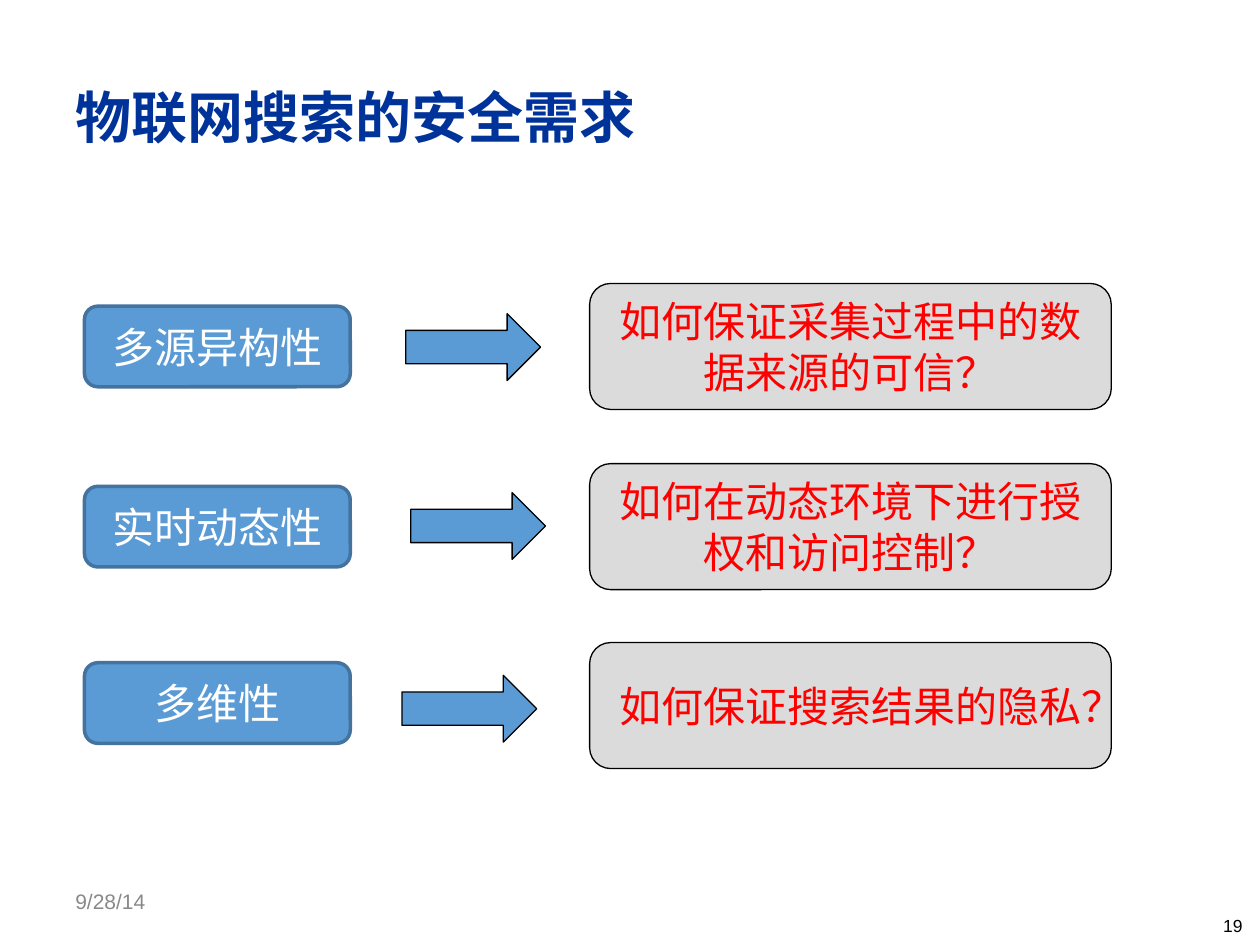
from lxml import etree
from pptx import Presentation
from pptx.dml.color import RGBColor
from pptx.enum.lang import MSO_LANGUAGE_ID
from pptx.enum.shapes import MSO_SHAPE
from pptx.enum.text import MSO_ANCHOR, PP_ALIGN
from pptx.oxml.ns import qn
from pptx.util import Inches, Pt

ROUNDED = MSO_SHAPE.ROUNDED_RECTANGLE
ARROW = MSO_SHAPE.RIGHT_ARROW
MIDDLE, TOP = MSO_ANCHOR.MIDDLE, MSO_ANCHOR.TOP
LEFT, CENTER = PP_ALIGN.LEFT, PP_ALIGN.CENTER
CHINESE = MSO_LANGUAGE_ID.SIMPLIFIED_CHINESE

COLORS = {
    "title": "003399",
    "date": "898989",
    "black": "000000",
    "white": "FFFFFF",
    "blue": "5B9BD5",
    "edge": "43739E",
    "gray": "DBDBDB",
    "red": "FF0000",
}
SANS, HAN = "Arial", "Noto Sans CJK SC"
COLUMNS, ROWS = 100, 75

REQUIREMENTS = [
    ("多源异构性", HAN, 24.3, 32.2, "如何保证采集过程中的数据来源的可信？", TOP, 22.5),
    ("实时动态性", SANS, 38.6, 32.6, "如何在动态环境下进行授权和访问控制？", TOP, 36.8),
    ("多维性", SANS, 52.6, 31.9, "如何保证搜索结果的隐私？", MIDDLE, 51),
]
ARROW_ROWS = [24.9, 39.1, 53.6]


class SlideBuilder:
    def __init__(self, deck):
        self.page = deck.slides.add_slide(deck.slide_layouts[6])
        self.column = deck.slide_width / COLUMNS
        self.row = deck.slide_height / ROWS

    def place(self, left, top, width, height):
        return (
            round(left * self.column),
            round(top * self.row),
            round(width * self.column),
            round(height * self.row),
        )

    def fill_text(self, box, words, size, color, font=HAN, align=CENTER, anchor=MIDDLE, bold=False, wrap=True):
        frame = box.text_frame
        for name, value in {"word_wrap": wrap, "vertical_anchor": anchor}.items():
            setattr(frame, name, value)
        para = frame.paragraphs[0]
        para.alignment = align
        span = para.add_run()
        span.text = words
        style = {"name": font, "size": Pt(size), "bold": bold}
        if not words.isascii():
            style["language_id"] = CHINESE
        for name, value in style.items():
            setattr(span.font, name, value)
        span.font.color.rgb = RGBColor.from_string(COLORS[color])
        latin = span._r.rPr.find(qn("a:latin"))
        latin.addnext(etree.Element(qn("a:ea"), typeface=HAN))

    def text(self, area, words, size, color, **style):
        box = self.page.shapes.add_textbox(*self.place(*area))
        self.fill_text(box, words, size, color, **style)

    def shape(self, kind, area, fill, line, weight):
        box = self.page.shapes.add_shape(kind, *self.place(*area))
        box.shadow.inherit = False
        box.fill.solid()
        box.fill.fore_color.rgb = RGBColor.from_string(COLORS[fill])
        box.line.color.rgb = RGBColor.from_string(COLORS[line])
        box.line.width = Pt(weight)
        return box

    def feature(self, top, words, font):
        box = self.shape(ROUNDED, (6.7, top, 21.1, 6.4), "blue", "edge", 2)
        self.fill_text(box, words, 24, "white", font=font)

    def question(self, top, words, anchor):
        box = self.shape(ROUNDED, (46.8, top, 41.4, 10), "gray", "black", 0.75)
        self.fill_text(box, words, 24, "red", anchor=anchor)

    def arrow(self, left, top):
        self.shape(ARROW, (left, top, 10.7, 5.3), "blue", "black", 0.75)


def main():
    deck = Presentation()
    deck.slide_width, deck.slide_height = Inches(10), Inches(7.5)
    builder = SlideBuilder(deck)
    builder.text((96.1, 72.1, 3.9, 4.3), "19", 10, "black",
                 font=SANS, align=LEFT, anchor=TOP, wrap=False)
    builder.text((5, 3, 90, 12.5), "物联网搜索的安全需求", 32, "title", align=LEFT, bold=True)
    builder.text((5, 69.5, 23.3, 4), "9/28/14", 12, "date", font=SANS, align=LEFT)
    for requirement, arrow_top in zip(REQUIREMENTS, ARROW_ROWS):
        feature, font, feature_top, arrow_left, question, anchor, question_top = requirement
        builder.feature(feature_top, feature, font)
        builder.question(question_top, question, anchor)
        builder.arrow(arrow_left, arrow_top)
    deck.save("out.pptx")


if __name__ == "__main__":
    main()
